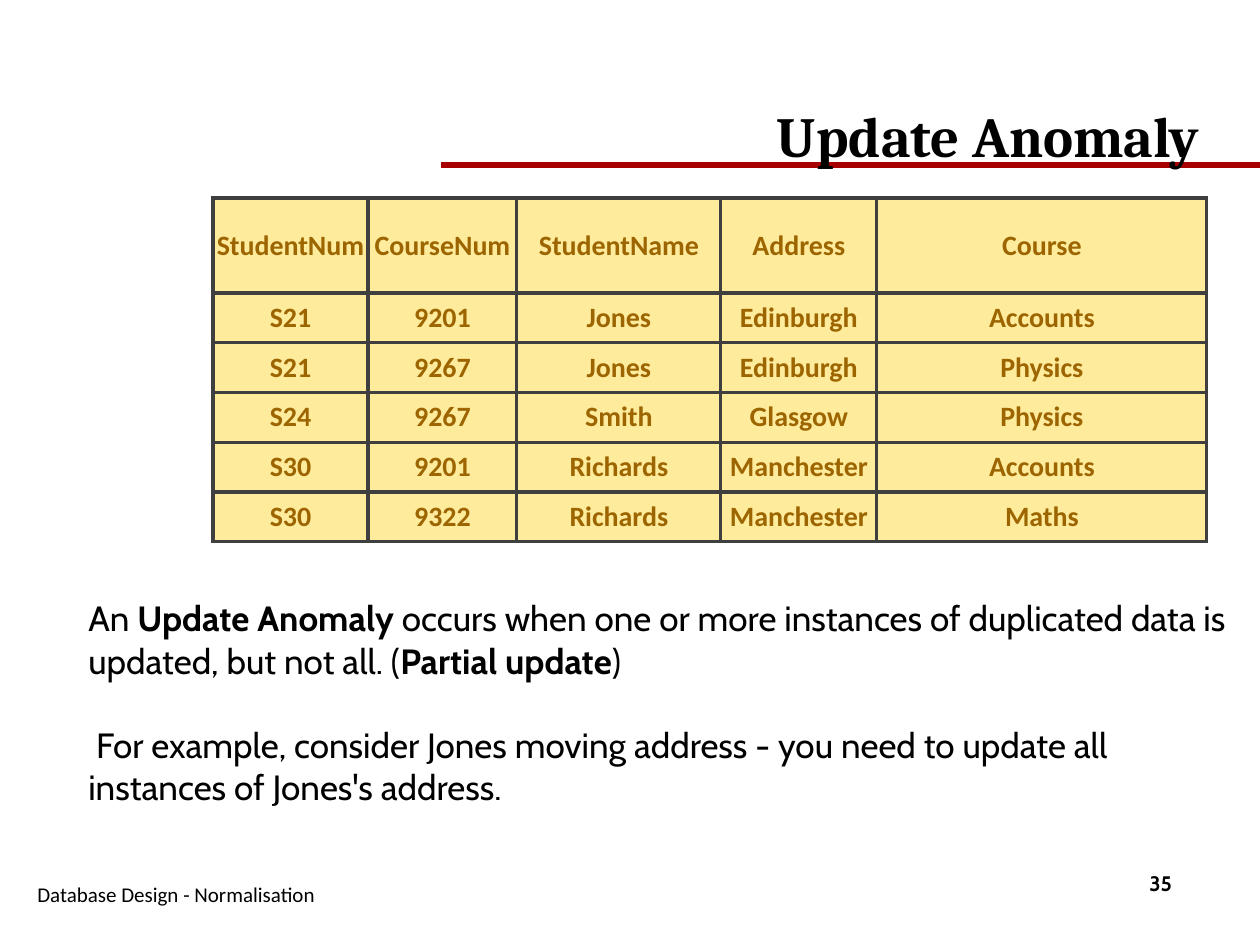
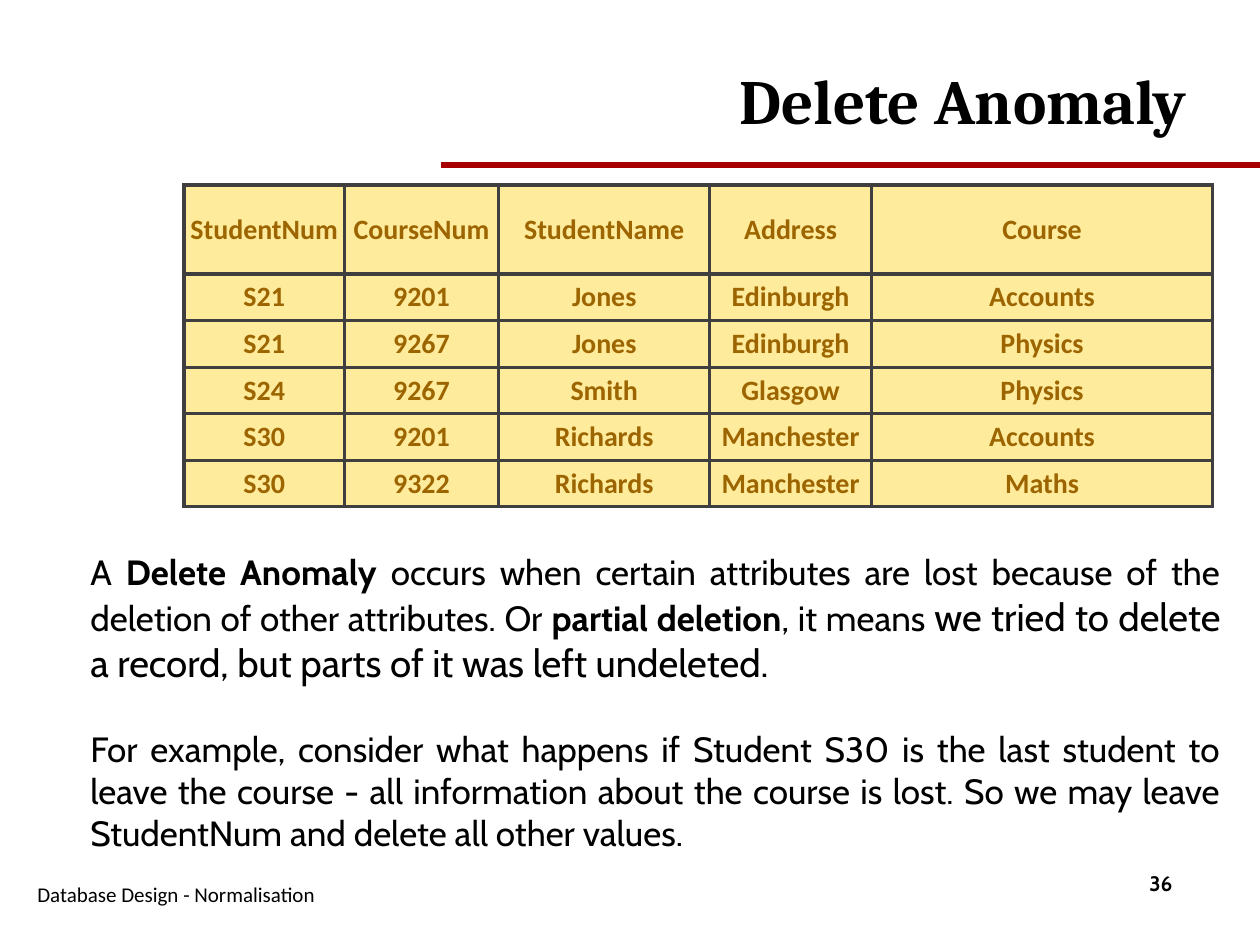
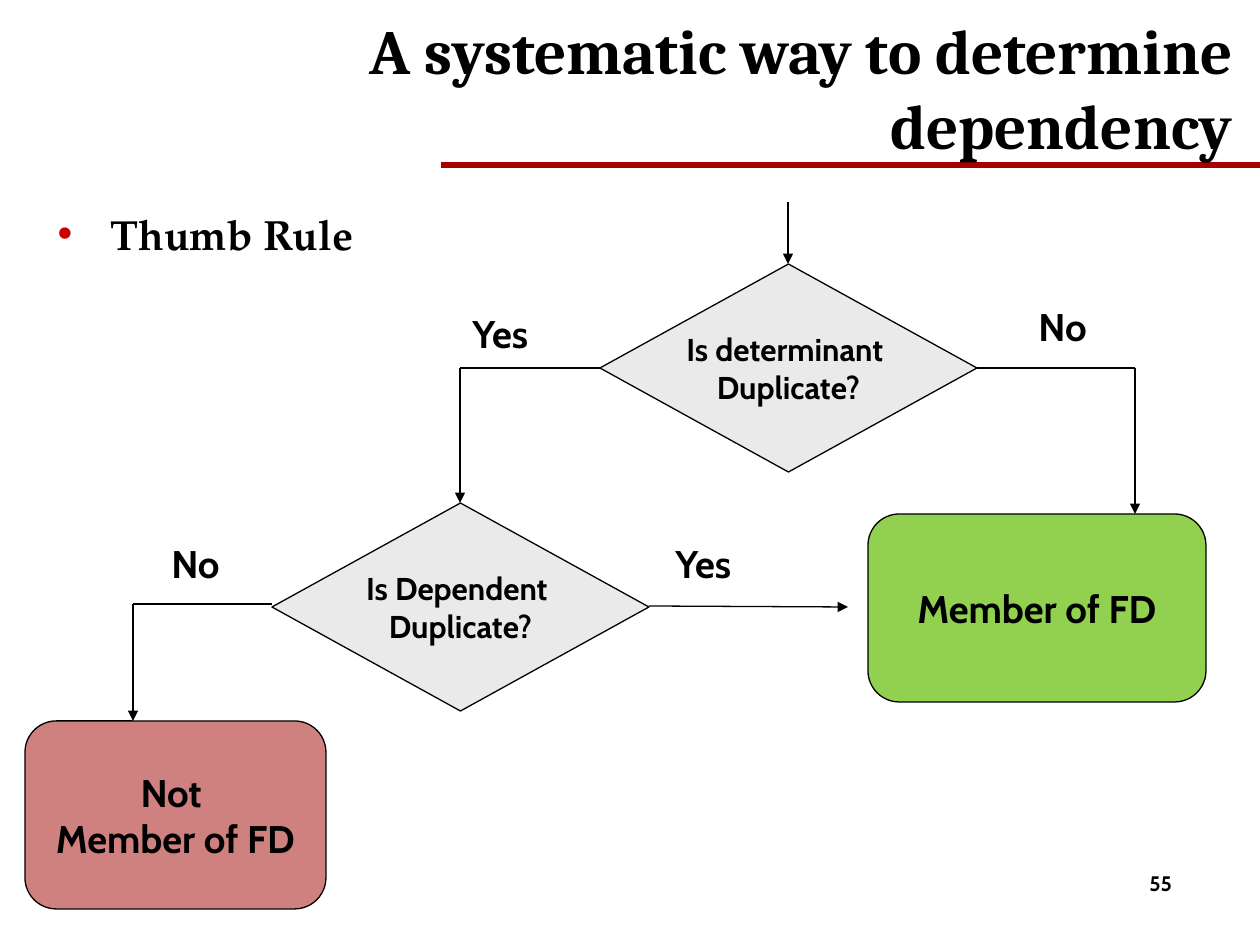
from itertools import pairwise

from lxml.etree import SubElement
from pptx import Presentation
from pptx.dml.color import RGBColor
from pptx.enum.shapes import MSO_CONNECTOR, MSO_SHAPE
from pptx.enum.text import MSO_ANCHOR, MSO_AUTO_SIZE, PP_ALIGN
from pptx.oxml.ns import qn
from pptx.util import Emu, Pt

PX = 914400 / 126
SLIDE_SIZE = (1260, 945)

THEME = {
    "colours": {
        "ink": "000000", "rule": "A80000", "bullet": "CC0000",
        "cell": "FFEB9C", "cell_text": "9C6500", "grid": "3F3F3F",
        "question": "EAEAEA", "member": "92D050", "not_member": "CF817F",
    },
    "text": {
        "title": {"name": "Cambria", "size": 36, "bold": True},
        "small_title": {"name": "Cambria", "size": 32.4, "bold": True},
        "list": {"name": "TeX Gyre Pagella", "size": 24, "bold": True},
        "body": {"name": "Cabin", "size": 20, "bold": False},
        "strong": {"name": "Cabin", "size": 20, "bold": True},
        "large": {"name": "Cabin", "size": 22, "bold": False},
        "cell": {"name": "Calibri", "size": 16, "bold": True, "colour": "cell_text"},
        "question": {"name": "Cabin", "size": 18, "bold": True},
        "outcome": {"name": "Cabin", "size": 22, "bold": True},
        "footer": {"name": "Calibri", "size": 12, "bold": False},
        "number": {"name": "Cabin", "size": 12, "bold": True},
    },
    "line": {"rule": 3, "grid": 2, "flow": 0.75},
    "paragraph_gap": 24,
}

RULE = [(441, 165), (1260, 165)]
FOOTER = "Database Design - Normalisation"
FOOTER_BOX = (25, 869, 556, 50)
NUMBER_BOX = (1137, 864, 63, 38)

ENROLMENTS = [
    ("StudentNum", "CourseNum", "StudentName", "Address", "Course"),
    ("S21", "9201", "Jones", "Edinburgh", "Accounts"),
    ("S21", "9267", "Jones", "Edinburgh", "Physics"),
    ("S24", "9267", "Smith", "Glasgow", "Physics"),
    ("S30", "9201", "Richards", "Manchester", "Accounts"),
    ("S30", "9322", "Richards", "Manchester", "Maths"),
]
COLUMN_SHARES = (155, 149, 204, 156, 330)

ANOMALIES = [
    {
        "number": 35, "title": "Update Anomaly", "title_style": "small_title",
        "title_box": (246, 88, 966, 94),
        "table_box": (213, 198, 994, 344), "header_height": 95,
        "text_box": (76, 590, 1184, 224), "align": PP_ALIGN.LEFT,
        "paragraphs": [
            [("An ", "body"), ("Update Anomaly", "strong"),
             (" occurs when one or more instances of duplicated data is updated, "
              "but not all. (", "body"),
             ("Partial update", "strong"), (")", "body")],
            [(" For example, consider Jones moving address - you need to update all "
              "instances of Jones's address.", "body")],
        ],
    },
    {
        "number": 36, "title": "Delete Anomaly", "title_style": "title",
        "title_box": (233, 52, 966, 94),
        "table_box": (184, 185, 1029, 322), "header_height": 89,
        "text_box": (78, 543, 1155, 318), "align": PP_ALIGN.JUSTIFY,
        "paragraphs": [
            [("A ", "body"), ("Delete Anomaly", "strong"),
             (" occurs when certain attributes are lost because of the deletion of "
              "other attributes. Or ", "body"),
             ("partial deletion", "strong"), (", it means ", "body"),
             ("we tried to delete a record, but parts of it was left undeleted.", "large")],
            [("For example, consider what happens if Student S30 is the last student "
              "to leave the course - all information about the course is lost. So we "
              "may leave StudentNum and delete all other values.", "body")],
        ],
    },
]

DEPENDENCY = {
    "number": 55, "title": "A systematic way to determine dependency",
    "title_box": (194, 40, 1051, 94),
    "list": "Thumb Rule", "list_box": (45, 202, 338, 69),
    "nodes": [
        (MSO_SHAPE.DIAMOND, (600, 264, 377, 208), "question", "question",
         ["Is determinant ", "Duplicate?"]),
        (MSO_SHAPE.DIAMOND, (272, 503, 377, 208), "question", "question",
         ["Is Dependent ", "Duplicate?"]),
        (MSO_SHAPE.ROUNDED_RECTANGLE, (868, 514, 338, 188), "member", "outcome",
         ["Member of FD"]),
        (MSO_SHAPE.ROUNDED_RECTANGLE, (25, 721, 301, 188), "not_member", "outcome",
         ["Not ", "Member of FD"]),
    ],
    "answers": [("Yes", 460, 304), ("No", 1026, 297), ("Yes", 663, 534), ("No", 159, 534)],
    "answer_size": (110, 59),
    "flows": [
        [(788, 202), (788, 264)],
        [(600, 368), (460, 368), (460, 503)],
        [(977, 368), (1135, 368), (1135, 514)],
        [(649, 606), (848, 607)],
        [(272, 604), (133, 604), (133, 721)],
    ],
}


def px(*lengths):
    return [Emu(round(n * PX)) for n in lengths]


def colour(name):
    return RGBColor.from_string(THEME["colours"][name])


def place(sp, box):
    for side, length in zip(("left", "top", "width", "height"), px(*box)):
        setattr(sp, side, length)


def write(tf, paragraphs, align=PP_ALIGN.LEFT, anchor=MSO_ANCHOR.MIDDLE, wrap=True, gap=0):
    """Fill a text frame with paragraphs, each a list of (text, style) runs."""
    frame = {"word_wrap": wrap, "auto_size": MSO_AUTO_SIZE.NONE, "vertical_anchor": anchor}
    for key, value in frame.items():
        setattr(tf, key, value)
    for i, runs in enumerate(paragraphs):
        p = tf.add_paragraph() if i else tf.paragraphs[0]
        p.alignment = align
        if i and gap:
            p.space_before = Pt(gap)
        for text, style in runs:
            r = p.add_run()
            r.text = text
            look = THEME["text"][style]
            font = {"name": look["name"], "size": Pt(look["size"]), "bold": look["bold"]}
            for key, value in font.items():
                setattr(r.font, key, value)
            r.font.color.rgb = colour(look.get("colour", "ink"))


def add_text(s, box, paragraphs, **options):
    write(s.shapes.add_textbox(*px(*box)).text_frame, paragraphs, **options)


def add_line(s, start, end, line_colour, width, arrow=False):
    c = s.shapes.add_connector(MSO_CONNECTOR.STRAIGHT, *px(*start, *end))
    c.line.color.rgb = colour(line_colour)
    c.line.width = Pt(width)
    if arrow:
        SubElement(c.line._get_or_add_ln(), qn("a:tailEnd"), type="triangle")
    SubElement(c._element.spPr, qn("a:effectLst"))
    return c


def add_slide(prs, layout, content, title_style="title"):
    s = prs.slides.add_slide(prs.slide_layouts.get_by_name(layout))
    place(s.shapes.title, content["title_box"])
    write(s.shapes.title.text_frame, [[(content["title"], title_style)]], align=PP_ALIGN.RIGHT)
    add_text(s, NUMBER_BOX, [[(str(content["number"]), "number")]], anchor=MSO_ANCHOR.TOP)
    return s


def add_rule_to_master(prs, s):
    rule = add_line(s, *RULE, "rule", THEME["line"]["rule"])
    prs.slide_master.shapes._spTree.append(rule._element)


def add_borders(cell):
    tc_pr = cell._tc.get_or_add_tcPr()
    for side in "LRTB":
        ln = SubElement(tc_pr, qn(f"a:ln{side}"), w=str(Pt(THEME["line"]["grid"])))
        fill = SubElement(ln, qn("a:solidFill"))
        SubElement(fill, qn("a:srgbClr"), val=THEME["colours"]["grid"])


def add_enrolments(s, box, header_height):
    n_rows, n_cols = len(ENROLMENTS), len(COLUMN_SHARES)
    table = s.shapes.add_table(n_rows, n_cols, *px(*box)).table
    table.first_row = table.horz_banding = False
    width, height = box[2:]
    for column, share in zip(table.columns, COLUMN_SHARES):
        column.width = px(width * share / sum(COLUMN_SHARES))[0]
    row_height = (height - header_height) / (n_rows - 1)
    for i, (row, values) in enumerate(zip(table.rows, ENROLMENTS)):
        row.height = px(row_height if i else header_height)[0]
        for cell, value in zip(row.cells, values):
            for side in ("left", "right", "top", "bottom"):
                setattr(cell, f"margin_{side}", 0)
            add_borders(cell)
            cell.fill.solid()
            cell.fill.fore_color.rgb = colour("cell")
            cell.vertical_anchor = MSO_ANCHOR.MIDDLE
            tf = cell.text_frame
            write_cell(tf, value)


def write_cell(tf, value):
    look = THEME["text"]["cell"]
    p = tf.paragraphs[0]
    p.alignment = PP_ALIGN.CENTER
    r = p.add_run()
    r.text = value
    font = {"name": look["name"], "size": Pt(look["size"]), "bold": look["bold"]}
    for key, attribute in font.items():
        setattr(r.font, key, attribute)
    r.font.color.rgb = colour(look["colour"])


def add_anomaly(prs, content):
    s = add_slide(prs, "Title Only", content, content["title_style"])
    add_text(s, content["text_box"], content["paragraphs"],
             align=content["align"], gap=THEME["paragraph_gap"])
    add_enrolments(s, content["table_box"], content["header_height"])
    add_text(s, FOOTER_BOX, [[(FOOTER, "footer")]])
    return s


def add_bullet_list(s, text, box):
    body = s.placeholders[1]
    place(body, box)
    write(body.text_frame, [[(text, "list")]], anchor=MSO_ANCHOR.TOP)
    p_pr = body.text_frame.paragraphs[0]._p.get_or_add_pPr()
    indent = px(53)[0]
    p_pr.set("marL", str(indent))
    p_pr.set("indent", str(-indent))
    bullet = SubElement(p_pr, qn("a:buClr"))
    SubElement(bullet, qn("a:srgbClr"), val=THEME["colours"]["bullet"])
    SubElement(p_pr, qn("a:buChar"), char="•")


def add_node(s, kind, box, fill, style, lines):
    sp = s.shapes.add_shape(kind, *px(*box))
    sp.shadow.inherit = False
    sp.fill.solid()
    sp.fill.fore_color.rgb = colour(fill)
    sp.line.color.rgb = colour("ink")
    sp.line.width = Pt(THEME["line"]["flow"])
    write(sp.text_frame, [[(line, style)] for line in lines],
          align=PP_ALIGN.CENTER, wrap=False)


def add_dependency(prs, content):
    s = add_slide(prs, "Title and Content", content)
    add_bullet_list(s, content["list"], content["list_box"])
    for node in content["nodes"]:
        add_node(s, *node)
    for answer, left, top in content["answers"]:
        add_text(s, (left, top, *content["answer_size"]), [[(answer, "outcome")]],
                 anchor=MSO_ANCHOR.TOP)
    for points in content["flows"]:
        for start, end in pairwise(points):
            add_line(s, start, end, "ink", THEME["line"]["flow"], arrow=end == points[-1])


def main():
    prs = Presentation()
    prs.slide_width, prs.slide_height = px(*SLIDE_SIZE)
    slides = [add_anomaly(prs, content) for content in ANOMALIES]
    add_rule_to_master(prs, slides[0])
    add_dependency(prs, DEPENDENCY)
    prs.save("out.pptx")


if __name__ == "__main__":
    main()
